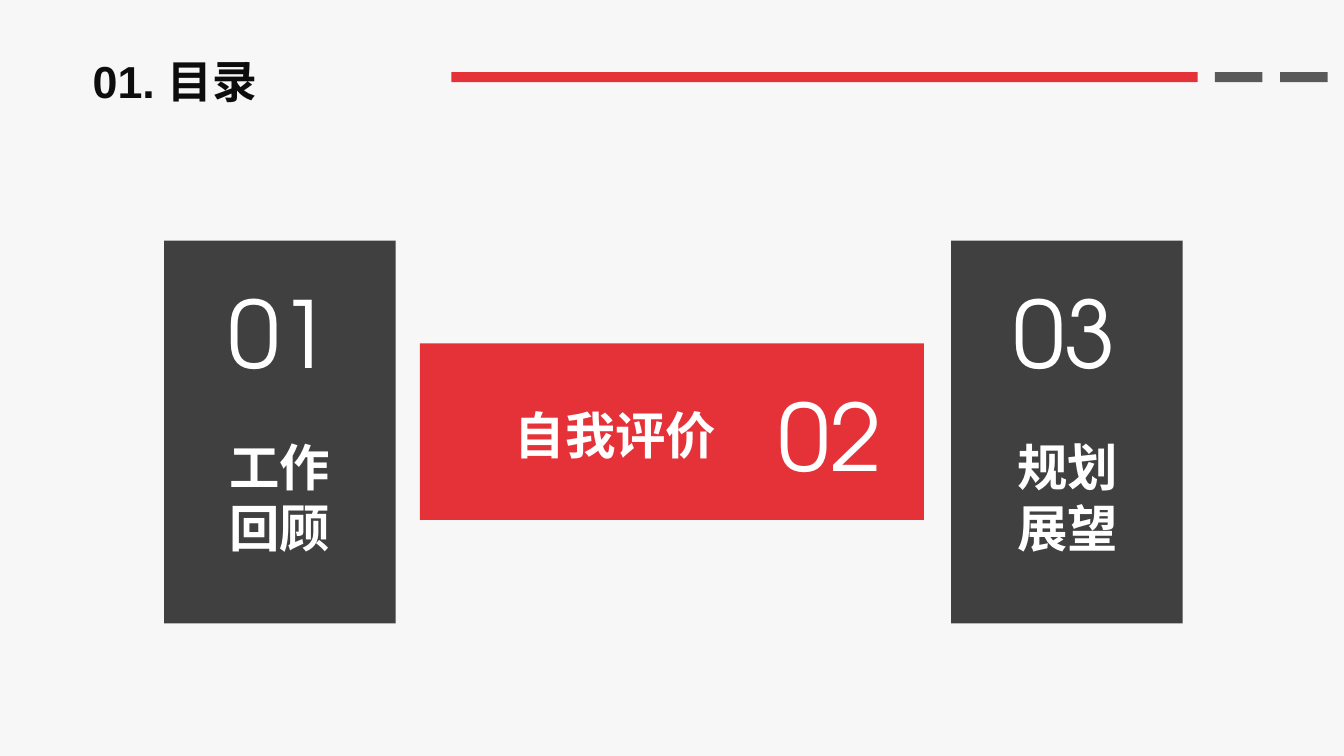
import pptx
import pptx.util
import pptx.dml.color
import pptx.enum.shapes
import pptx.enum.text

Pt = pptx.util.Pt
Color = pptx.dml.color.RGBColor
Align = pptx.enum.text.PP_ALIGN

RED = Color(0xE5, 0x32, 0x38)
DARK = Color(0x40, 0x40, 0x40)
GRAY = Color(0x59, 0x59, 0x59)
INK = Color(0x0D, 0x0D, 0x0D)
WHITE = Color(0xFF, 0xFF, 0xFF)
PAPER = Color(0xF7, 0xF7, 0xF7)

TITLE = "01. 目录"
# left, width, colour
BARS = [(322.5, 533, RED), (867.8, 34, GRAY), (914.4, 34, GRAY)]
# number, label, colour, card box, number left and top, label box
CARDS = [
    ("01", "工作\n回顾", DARK, (117.2, 171.8, 165.4, 273.4),
     (138.2, 193.7), (131.8, 308.2, 136, 94.3)),
    ("03", "规划\n展望", DARK, (679.4, 171.8, 165.4, 273.4),
     (699.1, 193.7), (694.8, 308.2, 136, 94.3)),
    ("02", "自我评价", RED, (300, 245.3, 360, 126),
     (531.4, 267.1), (340.6, 285.1, 198, 51.1)),
]
NUM_SIZE = (123.1, 87.1)


def style(shape, text, size, font, color, bold, align):
    frame = shape.text_frame
    frame.text = text
    frame.word_wrap = True
    frame.auto_size = pptx.enum.text.MSO_AUTO_SIZE.NONE
    frame.vertical_anchor = pptx.enum.text.MSO_ANCHOR.TOP
    for para in frame.paragraphs:
        para.alignment = align
        for run in para.runs:
            run.font.size = Pt(size)
            run.font.name = font
            run.font.bold = bold
            run.font.color.rgb = color


def block(slide, box, color):
    shape = slide.shapes.add_shape(
        pptx.enum.shapes.MSO_SHAPE.RECTANGLE, *map(Pt, box))
    shape.shadow.inherit = False
    shape.fill.solid()
    shape.fill.fore_color.rgb = color
    shape.line.fill.background()


def label(slide, box, text, size, font, bold):
    shape = slide.shapes.add_textbox(*map(Pt, box))
    style(shape, text, size, font, WHITE, bold, Align.CENTER)


def main():
    deck = pptx.Presentation()
    deck.slide_width, deck.slide_height = Pt(960), Pt(540)
    slide = deck.slides.add_slide(deck.slide_layouts[5])
    slide.background.fill.solid()
    slide.background.fill.fore_color.rgb = PAPER

    title = slide.shapes.title
    title.left, title.top = Pt(59), Pt(34.6)
    title.width, title.height = Pt(388), Pt(46)
    style(title, TITLE, 32, "Arial", INK, True, Align.LEFT)

    for left, width, color in BARS:
        block(slide, (left, 51.5, width, 7.2), color)
    for num, text, color, card, spot, box in CARDS:
        block(slide, card, color)
        label(slide, spot + NUM_SIZE, num, 66, "TeX Gyre Adventor", False)
        label(slide, box, text, 36, "Arial", True)

    deck.save("out.pptx")


if __name__ == "__main__":
    main()
